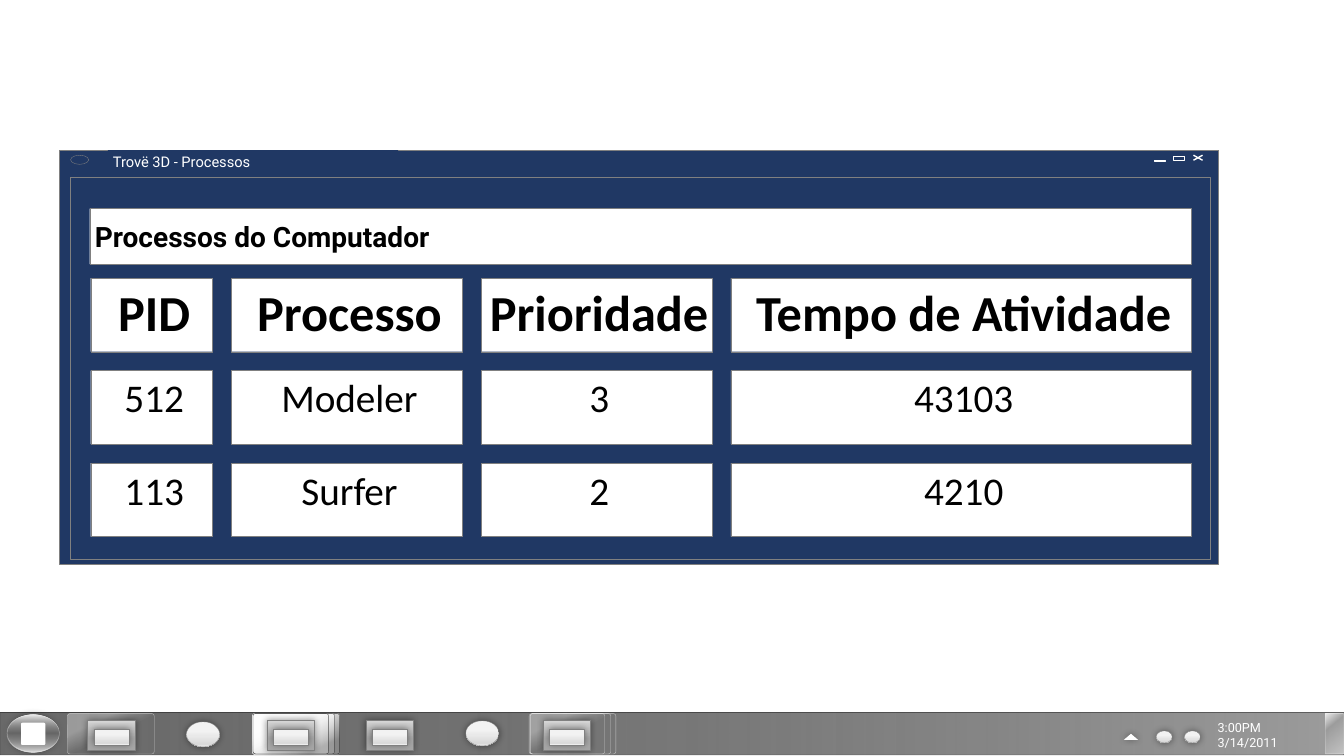
from dataclasses import dataclass
from lxml import etree
from pptx import Presentation
from pptx.dml.color import RGBColor
from pptx.enum.shapes import MSO_CONNECTOR, MSO_SHAPE
from pptx.enum.text import MSO_ANCHOR, MSO_AUTO_SIZE, PP_ALIGN
from pptx.oxml.ns import qn
from pptx.util import Inches, Pt

RECT, ROUND = MSO_SHAPE.RECTANGLE, MSO_SHAPE.ROUNDED_RECTANGLE
OVAL, PEAK = MSO_SHAPE.OVAL, MSO_SHAPE.ISOSCELES_TRIANGLE
LINE = MSO_CONNECTOR.STRAIGHT
TOP, MID = MSO_ANCHOR.TOP, MSO_ANCHOR.MIDDLE
LEFT, CENTER, FULL = PP_ALIGN.LEFT, PP_ALIGN.CENTER, PP_ALIGN.JUSTIFY
FIXED, GROW = MSO_AUTO_SIZE.NONE, MSO_AUTO_SIZE.SHAPE_TO_FIT_TEXT

CELL = 0.1
COLS, ROWS = 133.33, 75


@dataclass(frozen=True)
class Theme:
    navy: str = "203864"
    white: str = "FFFFFF"
    black: str = "000000"
    gray: str = "808080"
    sans: str = "Roboto"
    body: str = "Calibri"
    head: float = 36
    data: float = 28
    title: float = 20
    small: float = 10.5
    clock: float = 9
    bar: tuple = (0, (0, "595959", 90), (100, "000000", 39))
    gloss: tuple = (90, (36, "F2F2F2", 100), (91, "D9D9D9", 100), (100, "F2F2F2", 100))
    steel: tuple = (90, (0, "D9D9D9", 100), (63, "A6A6A6", 100))
    faint: tuple = (65, (26, "FFFFFF", 33), (52, "F2F2F2", 0))
    bright: tuple = (65, (32, "FFFFFF", 100), (81, "F2F2F2", 19))
    front: tuple = (65, (24, "FFFFFF", 50), (60, "F2F2F2", 24))
    edge: tuple = (50, (0, "FFFFFF", 84), (32, "FFFFFF", 0), (100, "FFFFFF", 40))
    orb: tuple = (90, (0, "F2F2F2", 100), (49, "BFBFBF", 0), (100, "F2F2F2", 88))


def tint(node, color, alpha):
    mark = etree.SubElement(node, qn("a:srgbClr"), val=color)
    etree.SubElement(mark, qn("a:alpha"), val=str(alpha * 1000))


def write(shape, text, size, font, color, bold=False, align=LEFT, anchor=TOP,
          pads=(0.5, 0.3, 0, 0), wrap=True, fit=FIXED):
    frame = shape.text_frame
    frame.text = text
    frame.word_wrap, frame.auto_size, frame.vertical_anchor = wrap, fit, anchor
    sides = [Inches(pad * CELL) for pad in pads]
    frame.margin_left, frame.margin_top, frame.margin_right, frame.margin_bottom = sides
    for para in frame.paragraphs:
        para.alignment = align
        for run in para.runs:
            run.font.size, run.font.name, run.font.bold = Pt(size), font, bold
            run.font.color.rgb = RGBColor.from_string(color)


class Board:
    def __init__(self, deck, theme):
        self.theme = theme
        self.slide = deck.slides.add_slide(deck.slide_layouts[5])
        self.shapes = self.slide.shapes

    def fill(self, shape, paint):
        if paint is None:
            shape.fill.background()
        elif isinstance(paint, str):
            shape.fill.solid()
            shape.fill.fore_color.rgb = RGBColor.from_string(paint)
        else:
            shape.fill.gradient()
            grad = shape._element.spPr.find(qn("a:gradFill"))
            stops = grad.find(qn("a:gsLst"))
            for stop in list(stops):
                stops.remove(stop)
            angle, *marks = paint
            for place, color, alpha in marks:
                stop = etree.SubElement(stops, qn("a:gs"), pos=str(place * 1000))
                tint(stop, color, alpha)
            grad.find(qn("a:lin")).set("ang", str(angle * 60000))

    def stroke(self, line, color, width=0.25, alpha=100):
        if color is None:
            line.fill.background()
            return
        line.width = Pt(width)
        line.color.rgb = RGBColor.from_string(color)
        if alpha < 100:
            mark = line._ln.find(".//" + qn("a:srgbClr"))
            etree.SubElement(mark, qn("a:alpha"), val=str(alpha * 1000))

    def place(self, shape, x, y, wide, high):
        shape.left, shape.top = Inches(x * CELL), Inches(y * CELL)
        shape.width, shape.height = Inches(wide * CELL), Inches(high * CELL)

    def box(self, x, y, wide, high, paint, kind=RECT, line=None, width=0.25,
            alpha=100, glow=False):
        shape = self.shapes.add_shape(kind, 0, 0, 0, 0)
        self.place(shape, x, y, wide, high)
        self.fill(shape, paint)
        self.stroke(shape.line, line, width, alpha)
        shape.shadow.inherit = False
        if kind == ROUND:
            shape.adjustments[0] = 0.06
        if glow:
            effects = shape._element.spPr.find(qn("a:effectLst"))
            shade = etree.SubElement(effects, qn("a:outerShdw"), blurRad=str(Pt(5)),
                                     dist="0", dir="0")
            tint(shade, self.theme.black, 40)
        return shape

    def rule(self, *ends):
        link = self.shapes.add_connector(LINE, *[Inches(end * CELL) for end in ends])
        self.stroke(link.line, self.theme.white, 1)
        etree.SubElement(link._element.spPr, qn("a:effectLst"))

    def title(self, text, *spot):
        look, shape = self.theme, self.shapes.title
        self.place(shape, *spot)
        self.fill(shape, look.white)
        self.stroke(shape.line, look.gray)
        write(shape, text, look.title, look.sans, look.black, bold=True, anchor=MID,
              pads=(0.5, 0.2, 0.5, 0.2), wrap=False)
        self.shapes._spTree.append(shape._element)

    def clock(self, text, *spot):
        look = self.theme
        shape = self.shapes.add_textbox(0, 0, 0, 0)
        self.place(shape, *spot)
        write(shape, text, look.clock, look.sans, look.white, align=FULL,
              pads=(1.1, 0.5, 1.1, 0.5), wrap=False, fit=GROW)

    def window(self, name):
        look = self.theme
        self.box(5.9, 14.9, 115, 41.1, look.navy, line=look.gray)
        self.box(7, 17.6, 113.1, 37.9, look.navy, line=look.gray)
        label = self.box(10.7, 14.9, 28.8, 2.3, look.navy)
        write(label, name, look.small, look.sans, look.white, anchor=MID,
              pads=(0.5, 0.2, 1, 0.3), fit=GROW)
        self.rule(118.4, 15.4, 119.3, 15.9)
        self.rule(119.3, 15.4, 118.4, 15.9)
        for x, y, high, width in ((116.4, 15.5, 0.1, 0.25), (116.4, 15.5, 0.4, 1),
                                  (114.5, 15.9, 0.1, 0.25)):
            self.box(x, y, 1.1, high, look.navy, line=look.white, width=width)
        self.box(7, 15.4, 1.8, 0.9, look.navy, OVAL, look.gray)

    def grid(self, rows, widths, x, y, high, gap, step):
        look = self.theme
        for r, row in enumerate(rows):
            left = x
            for text, wide in zip(row, widths):
                cell = self.box(left, y + r * step, wide, high, look.white, line=look.gray)
                write(cell, text, look.data if r else look.head, look.body, look.black,
                      bold=r == 0, align=CENTER)
                left += wide + gap

    def tasks(self):
        look = self.theme
        self.box(0, 70.7, COLS, 4.2, look.bar, line=look.black, alpha=58)
        frames = (
            (6.7, 8.6, look.faint, look.white, 56),
            (25.1, 8.6, look.bright, look.black, 56),
            (25.1, 8.1, look.bright, look.black, 56),
            (25.1, 7.5, look.front, look.black, 63),
            (52.5, 8.6, None, look.white, 56),
            (52.6, 8, None, look.white, 56),
            (52.6, 7.4, look.faint, look.white, 56),
        )
        for x, wide, paint, line, alpha in frames:
            self.box(x, 70.8, wide, 4, paint, ROUND, line, alpha=alpha)
        for x in (8.7, 26.5, 36.3, 53.9):
            self.box(x, 71.4, 4.7, 3, look.steel, line=look.gray, glow=True)
            self.box(x + 0.6, 72.3, 3.5, 1.6, look.gloss, line=look.gray, glow=True)
        for x, y, wide, high in ((18.5, 71.6, 3.3, 2.5), (46.2, 71.5, 3.3, 2.5),
                                 (114.7, 72.5, 1.6, 1.2), (117.5, 72.5, 1.6, 1.2)):
            self.box(x, y, wide, high, look.gloss, OVAL, look.gray, glow=True)
        self.box(111.5, 72.8, 1.4, 0.6, look.white, PEAK, glow=True)
        self.box(131.5, 70.8, 1.8, 4, look.edge, line=look.white, alpha=52)
        self.clock("3:00PM\n3/14/2011", 119.7, 70.9, 10.6, 4.1)
        self.box(0.7, 70.9, 5.2, 3.7, look.orb, OVAL, look.white, alpha=46, glow=True)
        self.box(2.1, 71.7, 2.4, 2.2, look.white, ROUND)


def main():
    deck = Presentation()
    deck.slide_width, deck.slide_height = Inches(COLS * CELL), Inches(ROWS * CELL)
    board = Board(deck, Theme())
    board.window("Trovë 3D - Processos")
    rows = (
        ("PID", "Processo", "Prioridade", "Tempo de Atividade"),
        ("512", "Modeler", "3", "43103"),
        ("113", "Surfer", "2", "4210"),
    )
    board.grid(rows, (12.1, 22.9, 22.9, 45.7), x=9, y=27.6, high=7.3, gap=1.87, step=9.17)
    board.title("Processos do Computador", 8.9, 20.7, 109.3, 5.5)
    board.tasks()
    deck.save("out.pptx")


if __name__ == "__main__":
    main()
